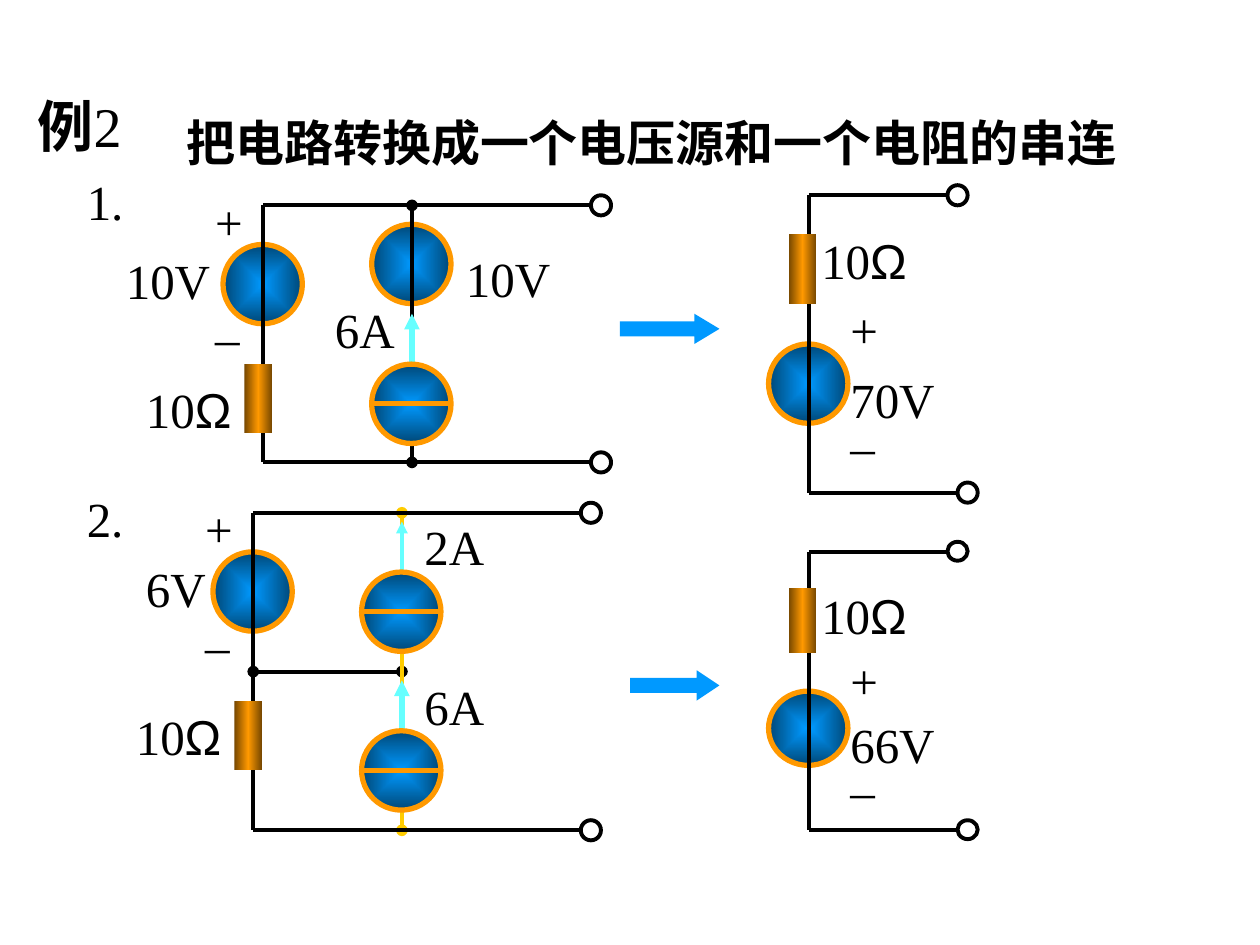
from dataclasses import dataclass

from lxml import etree
from pptx import Presentation
from pptx.dml.color import RGBColor
from pptx.enum.shapes import MSO_CONNECTOR as Connector, MSO_SHAPE as Shape
from pptx.enum.text import MSO_ANCHOR as Anchor, MSO_AUTO_SIZE as AutoSize, PP_ALIGN as Align
from pptx.oxml import parse_xml
from pptx.oxml.ns import nsdecls, qn
from pptx.util import Inches, Pt


@dataclass(frozen=True)
class Theme:
    serif: str = "Times New Roman"
    sans: str = "Arial"
    black: str = "000000"
    blue: str = "0099FF"
    navy: str = "004776"
    orange: str = "FF9900"
    brown: str = "764700"
    cyan: str = "66FFFF"
    yellow: str = "FFCC00"
    heading_size: float = 32
    text_size: float = 28
    wire: float = 2.25
    bold_wire: float = 3


THEME = Theme()
CIRCLE = 0.63
RADIUS = 0.32
SOURCE_SHADE = '<a:path path="rect"><a:fillToRect l="50000" t="50000" r="50000" b="50000"/></a:path>'
RESISTOR_SHADE = '<a:lin ang="0" scaled="0"/>'


def write(paragraph, text, font=THEME.serif, size=THEME.text_size, bold=False, color=THEME.black):
    run = paragraph.add_run()
    run.text = text
    run.font.name = font
    run.font.size = Pt(size)
    run.font.bold = bold
    run.font.color.rgb = RGBColor.from_string(color)


def set_gradient(shape, stops, direction):
    marks = "".join(
        f'<a:gs pos="{position * 1000}"><a:srgbClr val="{color}"/></a:gs>'
        for position, color in stops
    )
    properties = shape._element.spPr
    geometry = properties.find(qn("a:prstGeom"))
    geometry.addnext(parse_xml(
        f'<a:gradFill {nsdecls("a")} rotWithShape="1"><a:gsLst>{marks}</a:gsLst>{direction}</a:gradFill>'
    ))


class CircuitSlide:
    def __init__(self, slide, theme):
        self.slide = slide
        self.theme = theme

    def prepare_frame(self, shape):
        frame = shape.text_frame
        frame.word_wrap = True
        frame.auto_size = AutoSize.SHAPE_TO_FIT_TEXT
        frame.vertical_anchor = Anchor.TOP
        frame.margin_left = frame.margin_right = Inches(0.1)
        frame.margin_top = frame.margin_bottom = Inches(0.05)
        paragraph = frame.paragraphs[0]
        paragraph.alignment = Align.LEFT
        return paragraph

    def title(self, text, left, top, width, height):
        shape = self.slide.shapes.title
        shape.left, shape.top = Inches(left), Inches(top)
        shape.width, shape.height = Inches(width), Inches(height)
        write(self.prepare_frame(shape), text, bold=True)

    def text_box(self, left, top, width, height=0.57):
        shape = self.slide.shapes.add_textbox(
            Inches(left), Inches(top), Inches(width), Inches(height))
        return self.prepare_frame(shape)

    def label(self, text, left, top, width):
        write(self.text_box(left, top, width), text)

    def ohms(self, value, left, top, width):
        paragraph = self.text_box(left, top, width)
        write(paragraph, value)
        write(paragraph, "Ω", font=self.theme.sans)

    def shape(self, kind, left, top, width, height, line=None, line_width=None):
        shape = self.slide.shapes.add_shape(
            kind, Inches(left), Inches(top), Inches(width), Inches(height))
        shape.shadow.inherit = False
        if line:
            shape.line.color.rgb = RGBColor.from_string(line)
            shape.line.width = Pt(line_width)
        else:
            shape.line.fill.background()
        return shape

    def line(self, start, end, color=None, width=None, head=None, tail=None):
        connector = self.slide.shapes.add_connector(
            Connector.STRAIGHT, *(Inches(value) for value in (*start, *end)))
        connector.line.color.rgb = RGBColor.from_string(color or self.theme.black)
        connector.line.width = Pt(width or self.theme.wire)
        outline = connector.line._get_or_add_ln()
        for tag, kind in (("a:headEnd", head), ("a:tailEnd", tail)):
            if kind:
                etree.SubElement(outline, qn(tag), type=kind)
        etree.SubElement(connector._element.spPr, qn("a:effectLst"))

    def block_arrow(self, left, top, width, head):
        arrow = self.shape(Shape.RIGHT_ARROW, left, top, width, 0.24)
        arrow.adjustments[1] = head
        arrow.fill.solid()
        arrow.fill.fore_color.rgb = RGBColor.from_string(self.theme.blue)

    def source(self, x, top, height=CIRCLE):
        circle = self.shape(Shape.OVAL, x - RADIUS, top, CIRCLE, height,
                            self.theme.orange, self.theme.bold_wire)
        set_gradient(circle, [(0, self.theme.blue), (100, self.theme.navy)], SOURCE_SHADE)

    def current_source(self, x, top):
        self.source(x, top)
        left, middle = x - RADIUS, top + CIRCLE / 2
        self.line((left, middle), (left + CIRCLE, middle), self.theme.orange, self.theme.bold_wire)

    def resistor(self, left, top, height=0.55):
        body = self.shape(Shape.RECTANGLE, left, top, 0.22, height)
        stops = [(0, self.theme.brown), (50, self.theme.orange), (100, self.theme.brown)]
        set_gradient(body, stops, RESISTOR_SHADE)

    def terminal_wire(self, x, y, length, height=0.16):
        self.line((x, y), (x + length, y))
        ring = self.shape(Shape.OVAL, x + length, y - 0.08, 0.16, height,
                          self.theme.black, self.theme.wire)
        ring.fill.background()

    def loop(self, x, top, bottom, voltage, voltage_left, ohms_left, resistor_top, ohms_top):
        self.source(x, top + 0.31)
        self.line((x, top), (x, bottom))
        for y in (top, bottom):
            self.terminal_wire(x, y, 2.6)
        self.label(voltage, voltage_left, top + 0.31, 0.95)
        self.label("+", x - 0.48, top - 0.16, 0.39)
        self.label("_", x - 0.48, top + 0.63, 0.39)
        self.resistor(x - 0.15, resistor_top)
        self.ohms("10", ohms_left, ohms_top, 1.34)

    def equivalent(self, top, height, voltage):
        x = 6.42
        scale = height / 2.36
        self.source(x, top + 1.18 * scale, CIRCLE * scale)
        self.line((x, top), (x, top + height))
        self.terminal_wire(x, top, 1.1, 0.16 * scale)
        self.terminal_wire(x, top + height, 1.18, 0.16 * scale)
        self.resistor(x - 0.16, top + 0.31 * scale, 0.55 * scale)
        self.ohms("10", x, top + 0.23 * scale, 0.94)
        for text, offset, width in (("+", 0.78, 0.39), (voltage, 1.33, 1.02), ("_", 1.57, 0.39)):
            self.label(text, x + 0.23, top + offset * scale, width)


def main():
    presentation = Presentation()
    presentation.slide_width, presentation.slide_height = Inches(10), Inches(7.5)
    slide = presentation.slides.add_slide(presentation.slide_layouts[5])
    circuit = CircuitSlide(slide, THEME)

    circuit.title("把电路转换成一个电压源和一个电阻的串连", 1.38, 0.84, 8.35, 0.57)
    example = circuit.text_box(0.2, 0.68, 0.92, 1.17)
    write(example, "例", size=THEME.heading_size, bold=True)
    write(example, "2", size=THEME.heading_size)
    circuit.block_arrow(4.92, 2.49, 0.79, 0.83)
    circuit.block_arrow(5, 5.32, 0.71, 0.75)

    circuit.label("1.", 0.59, 1.31, 0.55)
    circuit.source(3.27, 1.78)
    circuit.line((3.27, 1.63), (3.27, 3.67), head="oval", tail="oval")
    circuit.line((3.27, 2.49), (3.27, 2.96), THEME.cyan, THEME.bold_wire, head="triangle")
    circuit.loop(2.09, 1.63, 3.67, "10V", 0.9, 1.06, 2.89, 2.96)
    circuit.current_source(3.27, 2.89)
    circuit.label("10V", 3.6, 1.92, 0.93)
    circuit.label("6A", 2.56, 2.33, 0.77)
    circuit.equivalent(1.55, 2.36, "70V")

    circuit.label("2.", 0.59, 3.83, 0.55)
    circuit.line((2.01, 5.33), (3.19, 5.33), head="oval", tail="oval")
    circuit.line((3.19, 4.07), (3.19, 6.59), THEME.yellow, head="oval", tail="oval")
    circuit.line((3.19, 5.4), (3.19, 5.87), THEME.cyan, THEME.bold_wire, head="triangle")
    circuit.line((3.19, 4.69), (3.19, 4.14), THEME.cyan, tail="triangle")
    circuit.loop(2.01, 4.07, 6.59, "6V", 1.06, 0.98, 5.56, 5.56)
    for top in (4.54, 5.8):
        circuit.current_source(3.19, top)
    circuit.label("2A", 3.27, 4.05, 0.71)
    circuit.label("6A", 3.27, 5.32, 0.77)
    circuit.equivalent(4.38, 2.21, "66V")

    presentation.save("out.pptx")


if __name__ == "__main__":
    main()
